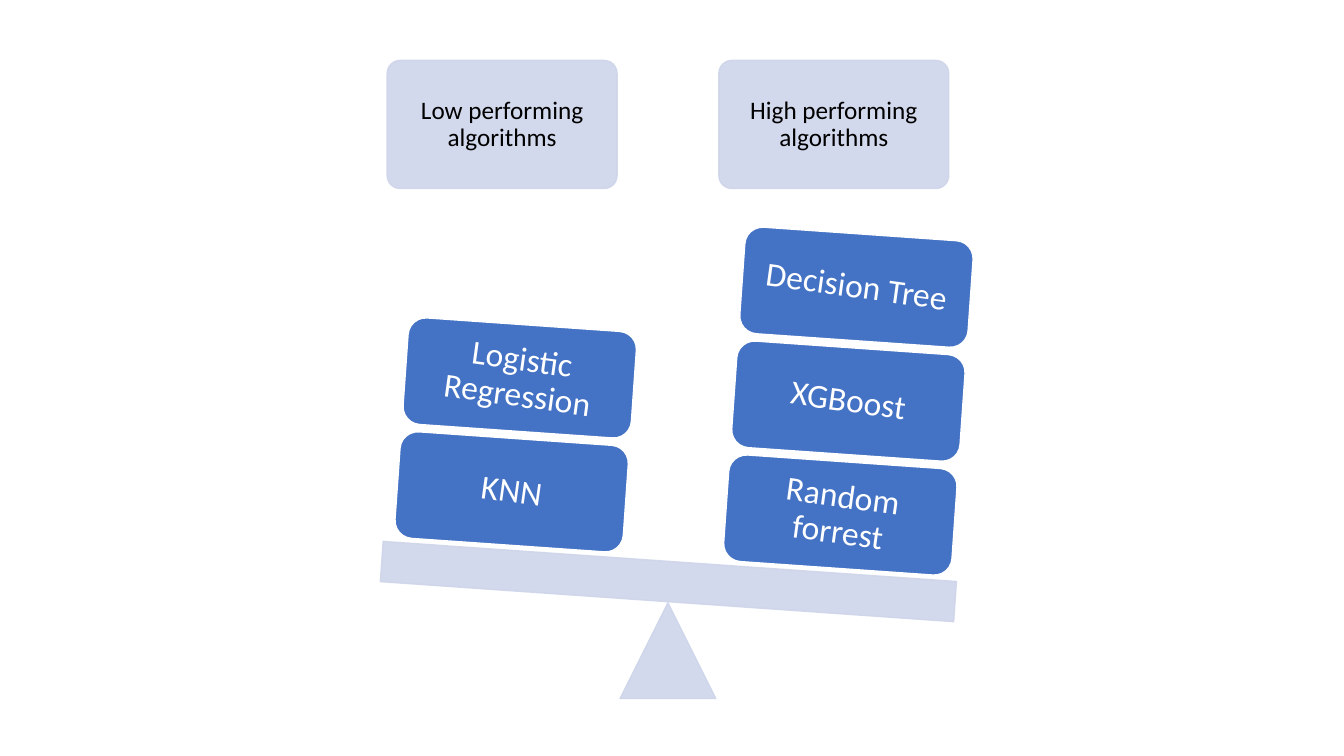
from pptx import Presentation
from pptx.dml.color import RGBColor
from pptx.enum import shapes, text
from pptx.oxml import ns
from pptx.util import Inches, Pt
from lxml import etree

PALE = RGBColor(0xCF, 0xD5, 0xEA)
BLUE = RGBColor(0x44, 0x72, 0xC4)
WHITE = RGBColor(0xFF, 0xFF, 0xFF)
BLACK = RGBColor(0, 0, 0)

TILT = 4
BLOCK_W, BLOCK_H = 2.27, 1.06
STEP_X, STEP_Y = 0.08, 1.13

PANS = [
    {"title": "Low performing algorithms", "title_left": 3.84,
     "base": (3.94, 4.35), "blocks": ["KNN", "Logistic Regression"]},
    {"title": "High performing algorithms", "title_left": 7.13,
     "base": (7.2, 4.58), "blocks": ["Random forrest", "XGBoost", "Decision Tree"]},
]


def add_part(kind, box, fill, line, rotation=0, alpha=None):
    sp = s.shapes.add_shape(kind, *map(Inches, box))
    sp.shadow.inherit = False
    sp.rotation = rotation
    sp.fill.solid()
    sp.fill.fore_color.rgb = fill
    sp.line.color.rgb = line
    sp.line.width = Pt(1)
    if alpha:
        for color in sp.element.spPr.iter(ns.qn("a:srgbClr")):
            etree.SubElement(color, ns.qn("a:alpha"), val=str(alpha * 1000))
    return sp


def add_label(sp, label, size, color, inset):
    tf = sp.text_frame
    tf.word_wrap = True
    tf.vertical_anchor = text.MSO_ANCHOR.MIDDLE
    tf.margin_left = tf.margin_right = tf.margin_top = tf.margin_bottom = Inches(inset)
    p = tf.paragraphs[0]
    p.text = label
    p.alignment = text.PP_ALIGN.CENTER
    p.line_spacing = 0.9
    p.font.name = "Calibri"
    p.font.size = Pt(size)
    p.font.color.rgb = color


prs = Presentation()
prs.slide_width, prs.slide_height = Inches(13.33), Inches(7.5)
s = prs.slides.add_slide(prs.slide_layouts[6])
kinds = shapes.MSO_SHAPE

for pan in PANS:
    sp = add_part(kinds.ROUNDED_RECTANGLE, (pan["title_left"], 0.6, 2.28, 1.27),
                  PALE, PALE, alpha=90)
    sp.adjustments[0] = 0.1
    add_label(sp, pan["title"], 18, BLACK, 0.07)

add_part(kinds.ISOSCELES_TRIANGLE, (6.15, 5.98, 0.95, 0.95), PALE, PALE, alpha=90)
add_part(kinds.RECTANGLE, (3.78, 5.57, 5.7, 0.4), PALE, PALE, TILT, 90)

for pan in PANS:
    left, top = pan["base"]
    for i, label in enumerate(pan["blocks"]):
        box = (left + i * STEP_X, top - i * STEP_Y, BLOCK_W, BLOCK_H)
        sp = add_part(kinds.ROUNDED_RECTANGLE, box, BLUE, WHITE, TILT)
        add_label(sp, label, 24, WHITE, 0.1)
        sp.text_frame._txBody.bodyPr.set("rot", str(TILT * 60000))

prs.save("out.pptx")
